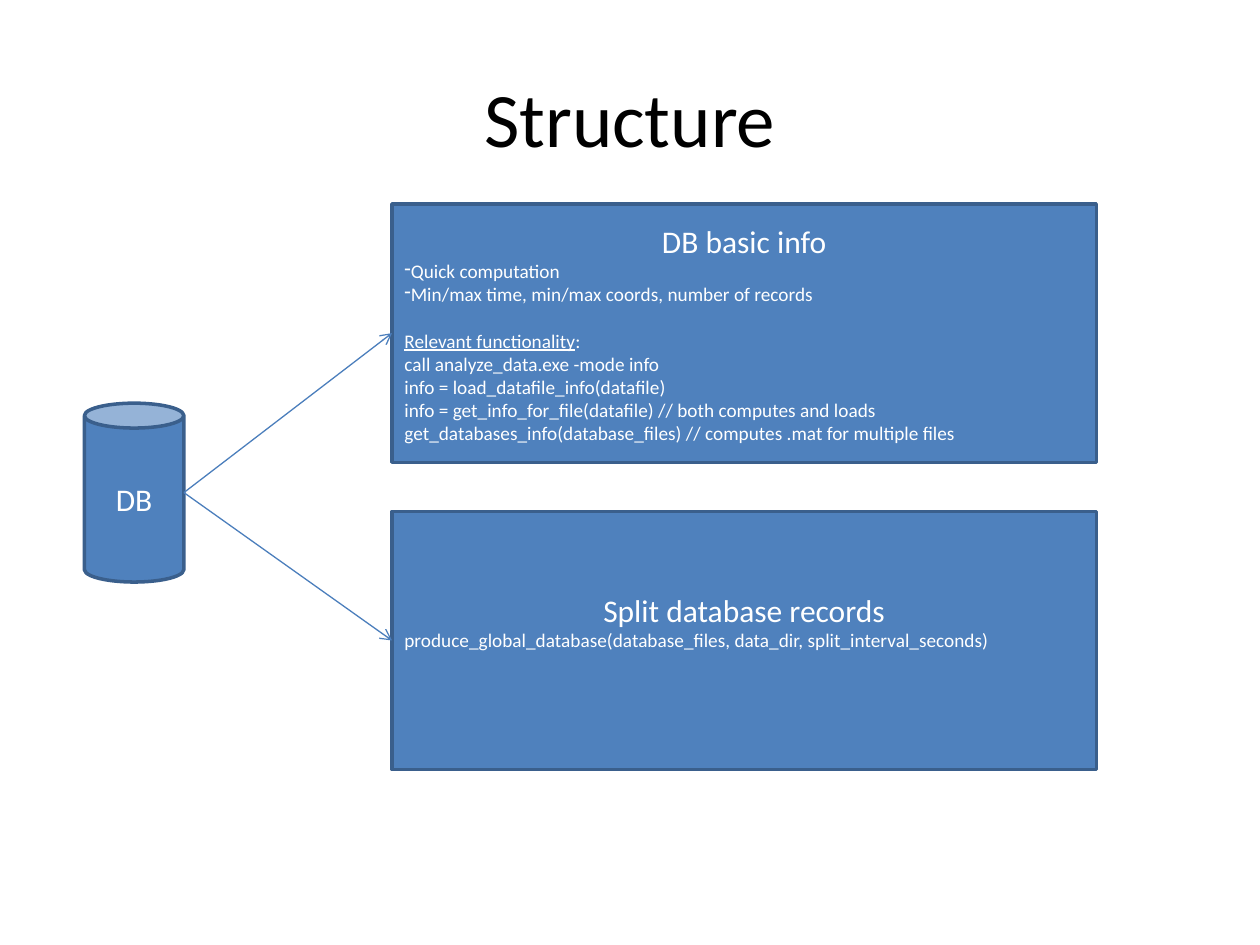
"""Build the Structure slide: a database feeding two processing steps."""
from dataclasses import dataclass

from lxml import etree
from pptx import Presentation
from pptx import util as u
from pptx.dml.color import RGBColor
from pptx.enum import shapes, text
from pptx.oxml import ns


@dataclass(frozen=True)
class Theme:
    font: str = "Calibri"
    ink: str = "000000"
    light: str = "FFFFFF"
    fill: str = "4F81BD"
    outline: str = "3A5F8C"
    arrow: str = "4B7EBC"
    title: float = 44
    heading: float = 18
    body: float = 11


THEME = Theme()
LEFT, CENTER = text.PP_ALIGN.LEFT, text.PP_ALIGN.CENTER
SLIDE_WIDTH, SLIDE_HEIGHT = 720, 540
DB_AREA = (48.2, 230.4, 56.9, 102.2)
STEP_LEFT, STEP_TOP, STEP_WIDTH, STEP_HEIGHT = 224, 116.6, 402.5, 147.6
STEP_GAP = 28
BODY_LINE, HEADING_LINE, INSET = 13.4, 22, 3.6

STEPS = [
    ("DB basic info", [
        ("Quick computation", {"dash": True}),
        ("Min/max time, min/max coords, number of records", {"dash": True}),
        (["Relevant functionality", ": "], {"underline_first": True, "before": BODY_LINE}),
        ("call analyze_data.exe -mode info", {}),
        ("info = load_datafile_info(datafile)", {}),
        ("info = get_info_for_file(datafile) // both computes and loads", {}),
        ("get_databases_info(database_files) // computes .mat for multiple files", {}),
    ], INSET),
    ("Split database records", [
        ("produce_global_database(database_files, data_dir, split_interval_seconds)", {}),
    ], INSET + HEADING_LINE),
]


def rgb(code):
    return RGBColor.from_string(code)


def write(paragraph, words, size=THEME.body, color=THEME.light, align=LEFT,
          before=0, dash=False, underline_first=False):
    paragraph.alignment = align
    paragraph.space_before = u.Pt(before)
    if dash:
        props = paragraph._p.get_or_add_pPr()
        props.set("marL", "0")
        props.set("indent", "0")
        etree.SubElement(props, ns.qn("a:buFontTx"))
        etree.SubElement(props, ns.qn("a:buChar")).set("char", "-")
    for index, part in enumerate([words] if isinstance(words, str) else words):
        run = paragraph.add_run()
        run.text = part
        run.font.name = THEME.font
        run.font.size = u.Pt(size)
        run.font.color.rgb = rgb(color)
        if underline_first:
            run.font.underline = index == 0


def add_title(slide, words):
    title = slide.shapes.title
    title.left, title.top, title.width, title.height = map(u.Pt, (36, 21.6, 648, 90))
    title.text_frame.vertical_anchor = text.MSO_ANCHOR.MIDDLE
    write(title.text_frame.paragraphs[0], words, size=THEME.title, color=THEME.ink, align=CENTER)


def add_block(slide, kind, area, heading, details=(), bottom=INSET):
    block = slide.shapes.add_shape(kind, *map(u.Pt, area))
    block.shadow.inherit = False
    block.fill.solid()
    block.fill.fore_color.rgb = rgb(THEME.fill)
    block.line.color.rgb = rgb(THEME.outline)
    block.line.width = u.Pt(2)
    frame = block.text_frame
    frame.word_wrap = True
    frame.vertical_anchor = text.MSO_ANCHOR.MIDDLE
    frame.margin_bottom = u.Pt(bottom)
    write(frame.paragraphs[0], heading, size=THEME.heading, align=CENTER)
    for words, style in details:
        write(frame.add_paragraph(), words, **style)
    return block


def add_arrow(slide, source, target):
    arrow = slide.shapes.add_connector(
        shapes.MSO_CONNECTOR.STRAIGHT,
        source.left + source.width, source.top + source.height // 2,
        target.left, target.top + target.height // 2)
    arrow.line.color.rgb = rgb(THEME.arrow)
    arrow.line.width = u.Pt(0.75)
    etree.SubElement(arrow.line._get_or_add_ln(), ns.qn("a:tailEnd")).set("type", "arrow")
    etree.SubElement(arrow._element.spPr, ns.qn("a:effectLst"))


def main():
    deck = Presentation()
    deck.slide_width, deck.slide_height = u.Pt(SLIDE_WIDTH), u.Pt(SLIDE_HEIGHT)
    slide = deck.slides.add_slide(deck.slide_layouts.get_by_name("Title Only"))
    add_title(slide, "Structure")
    database = add_block(slide, shapes.MSO_SHAPE.CAN, DB_AREA, "DB")
    for row, (heading, details, bottom) in enumerate(STEPS):
        top = STEP_TOP + row * (STEP_HEIGHT + STEP_GAP)
        step = add_block(slide, shapes.MSO_SHAPE.RECTANGLE,
                         (STEP_LEFT, top, STEP_WIDTH, STEP_HEIGHT), heading, details, bottom)
        add_arrow(slide, database, step)
    deck.save("out.pptx")


main()
